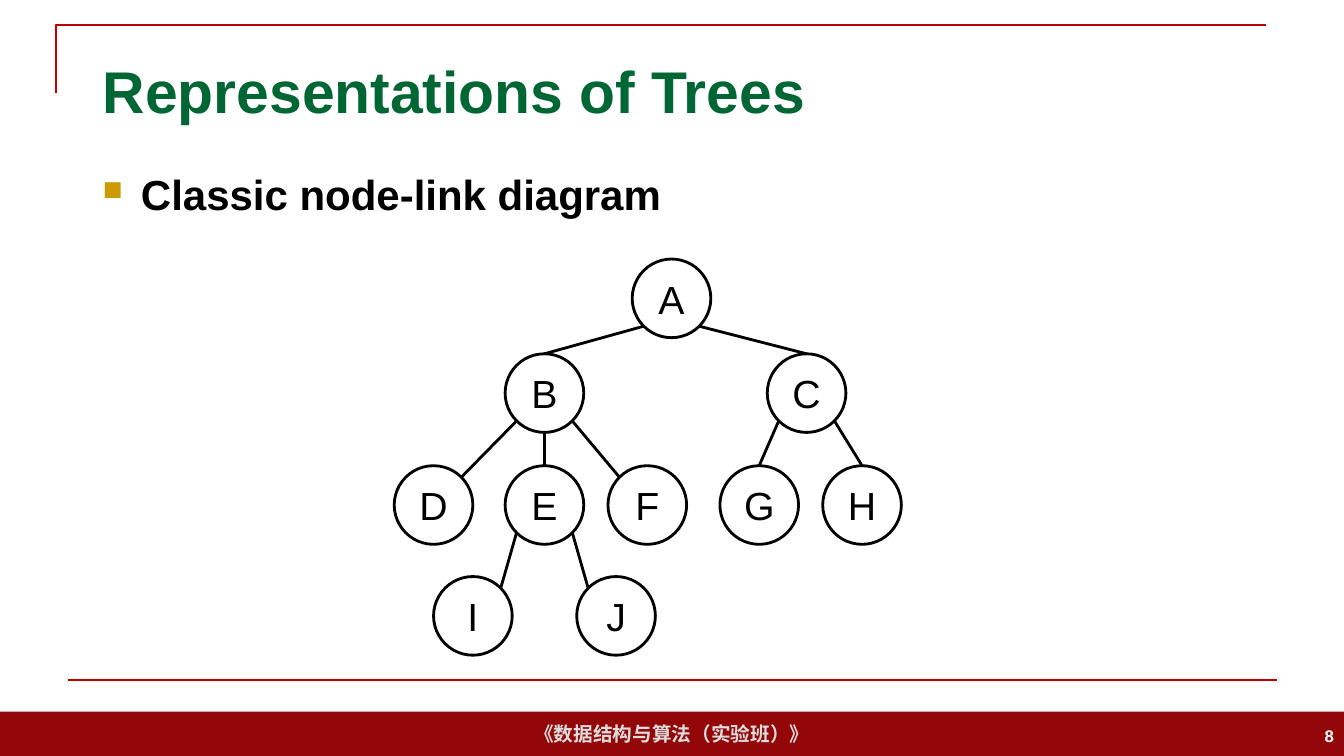
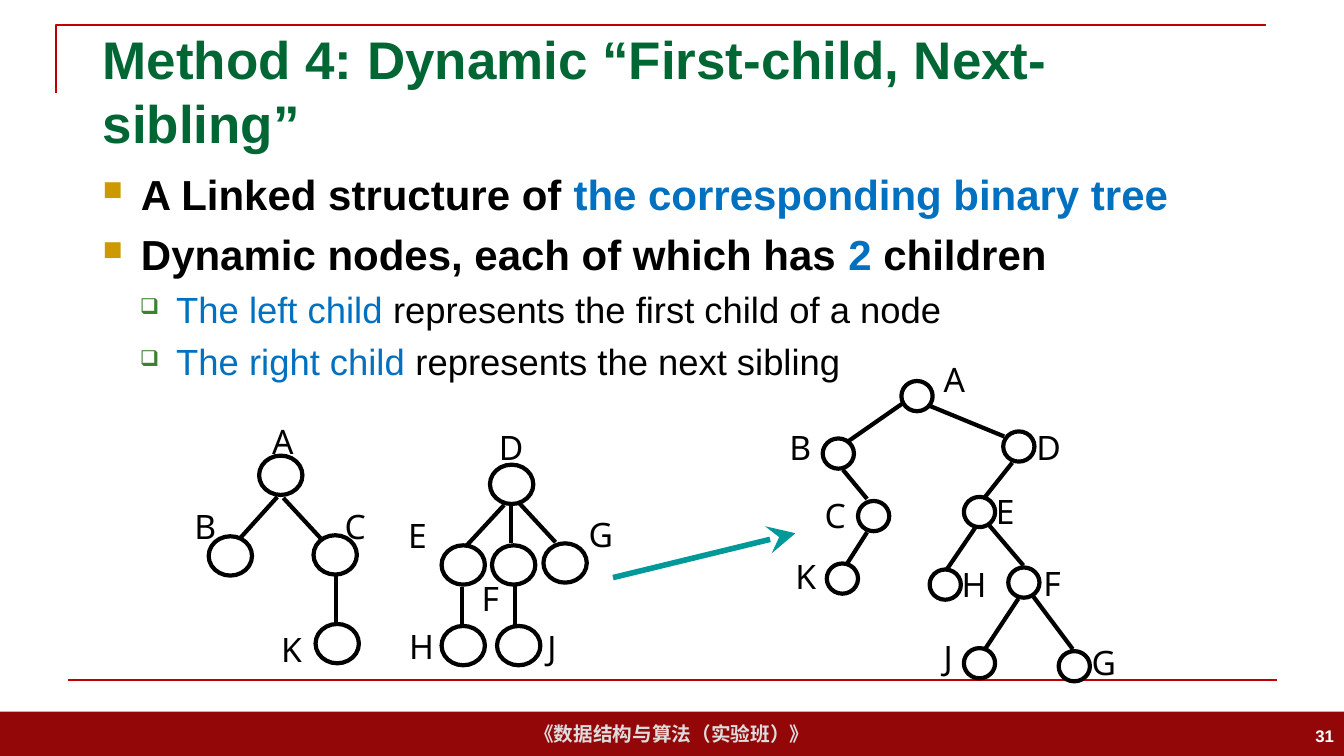
from lxml import etree
from pptx import Presentation
from pptx.dml.color import RGBColor
from pptx.enum.shapes import MSO_CONNECTOR, MSO_SHAPE
from pptx.enum.text import MSO_ANCHOR, PP_ALIGN
from pptx.oxml.ns import qn
from pptx.util import Inches, Pt

STRAIGHT = MSO_CONNECTOR.STRAIGHT
OVAL, RECTANGLE = MSO_SHAPE.OVAL, MSO_SHAPE.RECTANGLE
MIDDLE, TOP = MSO_ANCHOR.MIDDLE, MSO_ANCHOR.TOP
LEFT, CENTER, RIGHT = PP_ALIGN.LEFT, PP_ALIGN.CENTER, PP_ALIGN.RIGHT

HEX = {"band": "940709", "rule": "C00000", "title": "006633", "course": "DDDDDD",
       "black": "000000", "white": "FFFFFF", "accent": "0070C0", "arrow": "009999",
       "bullet": "CC9900", "sub_bullet": "3B812F"}
COLORS = {name: RGBColor.from_string(value) for name, value in HEX.items()}

# Per level: size, bold, space before, left margin, hanging indent, bullet, bullet %, bullet colour
LEVELS = [(30, True, 7, 0.38, 0.38, "■", 65, "bullet"),
          (26, False, 6, 0.73, 0.36, "❑", 60, "sub_bullet")]


def write(shape, text, size, color, bold=False, align=LEFT, anchor=MIDDLE, font="Arial"):
    frame = shape.text_frame
    frame.word_wrap = True
    frame.vertical_anchor = anchor
    paragraph = frame.paragraphs[0]
    paragraph.text = text
    paragraph.alignment = align
    paragraph.font.name = font
    paragraph.font.size = Pt(size)
    paragraph.font.bold = bold
    paragraph.font.color.rgb = COLORS[color]


def draw_line(slide, ends, color, width):
    line = slide.shapes.add_connector(STRAIGHT, *[Inches(v) for v in ends])
    line.line.color.rgb = COLORS[color]
    line.line.width = Pt(width)
    etree.SubElement(line._element.spPr, qn("a:effectLst"))
    return line


prs = Presentation()
prs.slide_width, prs.slide_height = Inches(13.33), Inches(7.5)

# Title, title size, page number, and bullets as (level, [(text, colour)])
PAGES = [
    ("Representations of Trees", 42, "8",
     [(0, [("Classic node-link diagram", "black")])]),
    ("Method 4: Dynamic “First-child, Next-sibling”", 37.8, "31",
     [(0, [("A Linked structure of ", "black"), ("the corresponding binary tree", "accent")]),
      (0, [("Dynamic nodes, each of which has ", "black"), ("2", "accent"),
           (" children", "black")]),
      (1, [("The left child ", "accent"), ("represents the first child of a node", "black")]),
      (1, [("The right child ", "accent"), ("represents the next sibling", "black")])]),
]

slides = []
for title, title_size, page_number, bullets in PAGES:
    slide = prs.slides.add_slide(prs.slide_layouts[6])
    slides.append(slide)

    # Footer band and frame rules
    band = slide.shapes.add_shape(RECTANGLE, 0, Inches(7.06), prs.slide_width, Inches(0.44))
    band.shadow.inherit = False
    band.fill.solid()
    band.fill.fore_color.rgb = COLORS["band"]
    band.line.fill.background()
    write(band, "《数据结构与算法（实验班）》", 14, "course", True, CENTER)

    outline = slide.shapes.build_freeform(Inches(0.56), Inches(0.92))
    outline.add_line_segments([(Inches(0.56), Inches(0.25)), (Inches(12.56), Inches(0.25))],
                              close=False)
    corner = outline.convert_to_shape()
    corner.shadow.inherit = False
    corner.fill.background()
    corner.line.color.rgb = COLORS["rule"]
    corner.line.width = Pt(1.5)
    draw_line(slide, (0.67, 6.75, 12.67, 6.75), "rule", 1.5)

    # Title and page number
    heading = slide.shapes.add_textbox(Inches(0.92), Inches(0.4), Inches(11.5), Inches(0.99))
    write(heading, title, title_size, "title", True)
    number = slide.shapes.add_textbox(Inches(10.33), Inches(7.1), Inches(3), Inches(0.4))
    write(number, page_number, 12, "white", True, RIGHT)

    # Bullets
    body = slide.shapes.add_textbox(Inches(0.92), Inches(1.62), Inches(11.5), Inches(2.39))
    body.text_frame.word_wrap = True
    for i, (level, runs) in enumerate(bullets):
        size, bold, before, margin, hanging, glyph, percent, glyph_color = LEVELS[level]
        paragraph = body.text_frame.add_paragraph() if i else body.text_frame.paragraphs[0]
        paragraph.level = level
        paragraph.space_before = Pt(before)
        props = paragraph._p.get_or_add_pPr()
        props.set("marL", str(Inches(margin)))
        props.set("indent", str(-Inches(hanging)))
        tint = etree.SubElement(props, qn("a:buClr"))
        etree.SubElement(tint, qn("a:srgbClr"), val=HEX[glyph_color])
        etree.SubElement(props, qn("a:buSzPct"), val=str(percent * 1000))
        etree.SubElement(props, qn("a:buChar"), char=glyph)
        paragraph.font.name = "Arial"
        paragraph.font.size = Pt(size)
        paragraph.font.bold = bold
        for text, color in runs:
            run = paragraph.add_run()
            run.text = text
            run.font.color.rgb = COLORS[color]

node_link_slide, binary_slide = slides

# Node-link diagram: node centres, and edges between points on the circles
DIAMETER = 0.78
RADIUS = DIAMETER / 2
DIAGONAL = RADIUS * 0.71
SITES = {"top": (0, -RADIUS), "bottom": (0, RADIUS),
         "top left": (-DIAGONAL, -DIAGONAL), "top right": (DIAGONAL, -DIAGONAL),
         "bottom left": (-DIAGONAL, DIAGONAL), "bottom right": (DIAGONAL, DIAGONAL)}
ROWS = [(2.96, {"A": 6.66}),
        (3.9, {"B": 5.4, "C": 8}),
        (5.01, {"D": 4.3, "E": 5.4, "F": 6.42, "G": 7.53, "H": 8.55}),
        (6.11, {"I": 4.69, "J": 6.11})]
LINKS = [("A", "bottom left", "B", "top"), ("A", "bottom right", "C", "top"),
         ("B", "bottom left", "D", "top right"), ("B", "bottom", "E", "top"),
         ("B", "bottom right", "F", "top left"), ("E", "bottom left", "I", "top right"),
         ("E", "bottom right", "J", "top left"), ("C", "bottom left", "G", "top"),
         ("C", "bottom right", "H", "top")]

centers = {}
for y, row in ROWS:
    for letter, x in row.items():
        centers[letter] = (x, y)
        node = node_link_slide.shapes.add_shape(
            OVAL, Inches(x - RADIUS), Inches(y - RADIUS), Inches(DIAMETER), Inches(DIAMETER))
        node.shadow.inherit = False
        node.fill.background()
        node.line.color.rgb = COLORS["black"]
        node.line.width = Pt(2)
        node.text_frame.margin_left = node.text_frame.margin_right = 0
        write(node, letter, 28, "black", align=CENTER)
for parent, exit_site, child, entry_site in LINKS:
    ends = [center + offset for letter, site in ((parent, exit_site), (child, entry_site))
            for center, offset in zip(centers[letter], SITES[site])]
    draw_line(node_link_slide, ends, "black", 2)

# Forest and its binary tree: node size, nodes as letter: (node x, y, label x, y), edges
TREES = [
    ((0.43, 0.39),
     {"A": (2.57, 4.52, 2.6, 4.13), "B": (2.07, 5.32, 1.83, 4.97),
      "C": (3.11, 5.31, 3.32, 4.97), "K": (3.13, 6.19, 2.69, 6.19)},
     [(2.75, 4.93, 2.39, 5.33), (2.81, 4.94, 3.18, 5.34), (3.33, 5.71, 3.33, 6.21)]),
    ((0.43, 0.39),
     {"D": (4.86, 4.61, 4.85, 4.19), "E": (4.38, 5.41, 3.95, 5.06),
      "F": (4.88, 5.41, 4.68, 5.68), "G": (5.39, 5.39, 5.74, 5.05),
      "H": (4.38, 6.21, 3.96, 6.16), "J": (4.93, 6.21, 5.33, 6.17)},
     [(5, 5.01, 4.63, 5.41), (5.07, 4.99, 5.07, 5.39), (5.14, 4.98, 5.51, 5.38),
      (4.58, 5.82, 4.58, 6.22), (5.11, 5.81, 5.11, 6.2)]),
    ((0.31, 0.3),
     {"A": (8.94, 3.78, 9.26, 3.51), "B": (8.16, 4.35, 7.73, 4.19),
      "C": (8.51, 4.97, 8.08, 4.86), "K": (8.2, 5.59, 7.79, 5.47),
      "D": (9.95, 4.28, 10.18, 4.19), "E": (9.56, 4.93, 9.78, 4.82),
      "H": (9.22, 5.65, 9.44, 5.55), "F": (10, 5.63, 10.25, 5.54),
      "J": (9.56, 6.43, 9.26, 6.27), "G": (10.5, 6.46, 10.73, 6.32)},
     [(8.97, 3.99, 8.41, 4.38), (8.36, 4.66, 8.6, 4.95), (8.6, 5.28, 8.39, 5.61),
      (9.23, 4.03, 9.96, 4.33), (10.04, 4.59, 9.77, 4.93), (9.67, 5.24, 9.39, 5.65),
      (9.81, 5.21, 10.15, 5.61), (10.1, 5.94, 9.77, 6.44), (10.25, 5.92, 10.64, 6.44)]),
]

for (width, height), nodes, edges in TREES:
    for edge in edges:
        draw_line(binary_slide, edge, "black", 3)
    for letter, (x, y, label_x, label_y) in nodes.items():
        node = binary_slide.shapes.add_shape(OVAL, Inches(x), Inches(y),
                                             Inches(width), Inches(height))
        node.shadow.inherit = False
        node.fill.solid()
        node.fill.fore_color.rgb = COLORS["white"]
        node.line.color.rgb = COLORS["black"]
        node.line.width = Pt(3)
        label = binary_slide.shapes.add_textbox(Inches(label_x), Inches(label_y),
                                                Inches(0.56), Inches(0.46))
        write(label, letter, 24, "black", anchor=TOP, font="Noto Sans")

# Arrow from the forest to the binary tree
arrow = draw_line(binary_slide, (6.08, 5.73, 7.89, 5.29), "arrow", 4)
etree.SubElement(arrow.line._get_or_add_ln(), qn("a:tailEnd"),
                 type="stealth", w="lg", len="lg")

prs.save("out.pptx")
